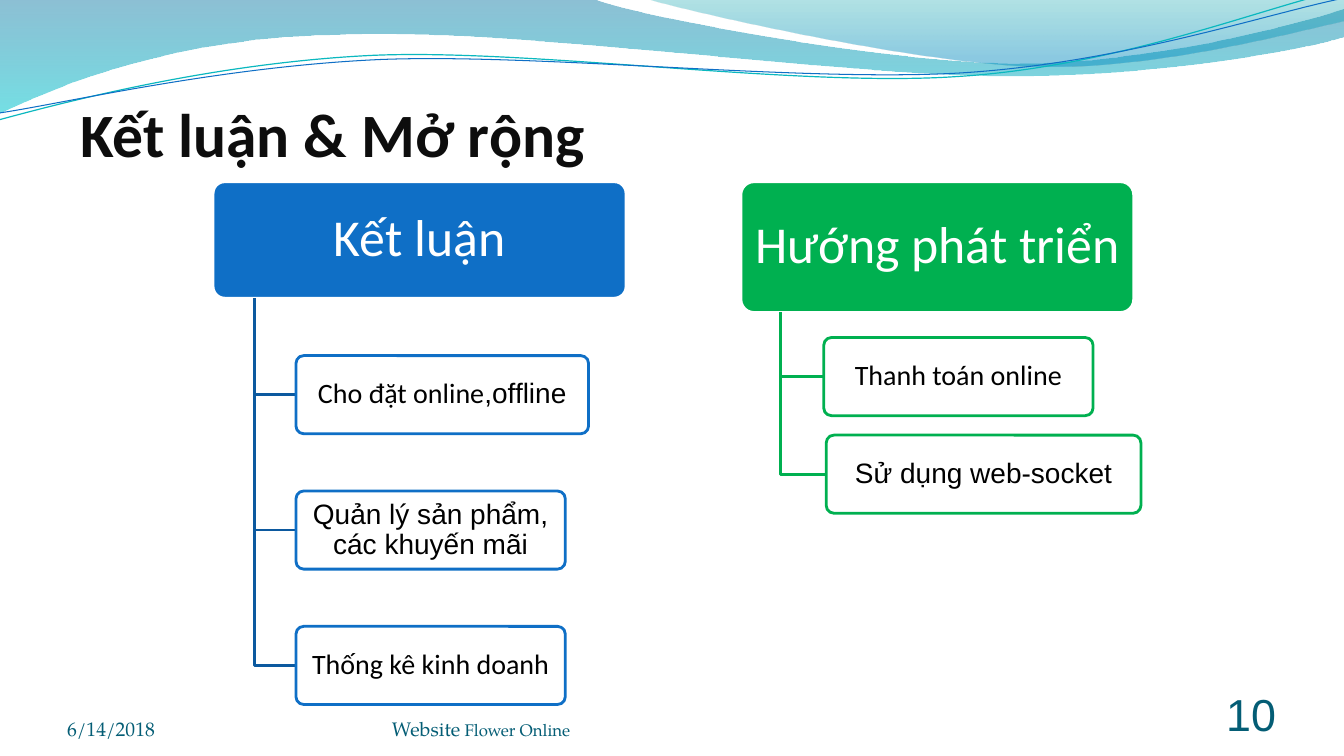
"""Build the conclusion and outlook slide with its two branching lists."""
from pptx import Presentation, util as u
from pptx.dml.color import RGBColor
from pptx.enum import shapes as kinds, text as t
from pptx.oxml.ns import qn
from lxml import etree

WHITE = RGBColor(0xFF, 0xFF, 0xFF)
BLACK = RGBColor(0, 0, 0)
INK = RGBColor(0x0D, 0x0D, 0x0D)
BLUE = RGBColor(0x0F, 0x6F, 0xC6)
NAVY = RGBColor(0x0C, 0x59, 0x9F)
GREEN = RGBColor(0x00, 0xB0, 0x50)
TEAL = RGBColor(0x04, 0x5D, 0x75)
AQUA = RGBColor(0x0A, 0xB8, 0xBF)
DEEP = RGBColor(0x00, 0x74, 0xA1)
CYAN = RGBColor(0x00, 0xC6, 0xCF)
SEA = RGBColor(0x00, 0xA1, 0xA9)
SKY = RGBColor(0x00, 0x8B, 0xBF)
SANS, BODY, SERIF = "Calibri", "Arial", "TeX Gyre Pagella"

deck = Presentation()
deck.slide_width, deck.slide_height = u.Pt(960), u.Pt(540)
slide = deck.slides.add_slide(deck.slide_layouts[5])
items = slide.shapes


def trace(start, parts, close=False, color=None, width=None):
    """Draw straight parts (x, y) and cubic parts (six numbers) as one outline."""
    dots = [(u.Pt(p[i]), u.Pt(p[i + 1])) for p in parts for i in range(0, len(p), 2)]
    pen = items.build_freeform(u.Pt(start[0]), u.Pt(start[1]))
    pen.add_line_segments(dots, close=close)
    shape = pen.convert_to_shape()
    shape.shadow.inherit = False
    steps = iter(list(shape._element.spPr.iter(qn("a:lnTo"))))
    for part in parts:
        step = next(steps)
        if len(part) == 6:
            curve = etree.Element(qn("a:cubicBezTo"))
            step.addprevious(curve)
            for old in (step, next(steps), next(steps)):
                curve.append(old[0])
                old.getparent().remove(old)
    if color is None:
        shape.line.fill.background()
    else:
        shape.fill.background()
        shape.line.color.rgb = color
        shape.line.width = u.Pt(width)
    return shape


def write(shape, parts, color, align, anchor, inset):
    """Fill a shape with runs given as (text, font, size)."""
    frame = shape.text_frame
    frame.word_wrap = True
    frame.auto_size = t.MSO_AUTO_SIZE.NONE
    frame.vertical_anchor = anchor
    frame.margin_left = frame.margin_right = u.Pt(inset)
    frame.margin_top = frame.margin_bottom = u.Pt(inset / 2)
    para = frame.paragraphs[0]
    para.alignment = align
    for words, face, size in parts:
        run = para.add_run()
        run.text = words
        run.font.name, run.font.size = face, u.Pt(size)
        run.font.color.rgb = color
    return para


waves = [
    ((0, 0), [(423, -1), (456, 12, 637, 45, 728, 45), (819, 45, 920, 19, 960, 6.5),
              (961, 26), (944, 32, 835, 55, 716, 54), (597, 54, 366, 20, 247, 24.5),
              (124, 26, 44, 60, -1, 81), (0, 0)],
     [(0, DEEP, 45), (1, CYAN, 55)]),
    ((460, -1), [(489, 8, 654, 45, 738, 47), (822, 50, 923, 23, 960, 15),
                 (960, 0), (460, -1)],
     [(0, SEA, 30), (0.8, SKY, 45)]),
]
for start, parts, stops in waves:
    wave = trace(start, parts, close=True)
    wave.fill.gradient()
    wave.fill.gradient_angle = 270
    for stop, (place, color, alpha) in zip(wave.fill.gradient_stops, stops):
        stop.position = place
        stop.color.rgb = color
    tints = wave._element.spPr.iter(qn("a:srgbClr"))
    for tint, (place, color, alpha) in zip(list(tints), stops):
        etree.SubElement(tint, qn("a:alpha")).set("val", str(alpha * 1000))

trace((-1, 85.7), [(46, 73, 152, 45, 266, 39.6), (379, 34.6, 569, 62.6, 684, 54.7),
                   (799, 47.5, 901, 5.8, 958, -7)], color=AQUA, width=0.85)
trace((0, 80.6), [(45, 74, 157, 47.5, 272, 42.5), (387, 38, 573, 59, 688, 52),
                  (803, 44.6, 904, 10, 960, -1.4)], color=BLUE, width=0.75)

title = items.title
title.left, title.top, title.width, title.height = map(u.Pt, (57.2, 31.5, 864, 90))
head = write(title, [("Kết luận & Mở rộng", SANS, 44)], INK,
             t.PP_ALIGN.LEFT, t.MSO_ANCHOR.BOTTOM, 0)
head.runs[0].font.bold = True

footers = [
    (48, 224, [("6/14/2018", SERIF, 14)], t.PP_ALIGN.LEFT),
    (280, 352, [("Website", SERIF, 14), (" Flower Online", SERIF, 12)], t.PP_ALIGN.LEFT),
    (832, 80, [("10", BODY, 32)], t.PP_ALIGN.RIGHT),
]
for left, width, parts, align in footers:
    note = items.add_textbox(u.Pt(left), u.Pt(500.4), u.Pt(width), u.Pt(28.8))
    write(note, parts, TEAL, align, t.MSO_ANCHOR.BOTTOM, 0)

TOP, TALL = 129.8, 55.8
branches = [
    ((152.2, 295, 83.2), "Kết luận", BLUE, NAVY, 182, [
        (211.4, 254, 209, [("Cho đặt online", SANS, 20), (",offline", BODY, 20)]),
        (211.4, 350.7, 192.4, [("Quản lý sản phẩm, các khuyến mãi", BODY, 20)]),
        (211.4, 447.4, 192.4, [("Thống kê kinh doanh", SANS, 20)])]),
    ((529.2, 280.6, 93.4), "Hướng phát triển", GREEN, GREEN, 557.3, [
        (588.4, 241.1, 192.4, [("Thanh toán online", SANS, 20)]),
        (590.2, 310.8, 224.8, [("Sử dụng web-socket", BODY, 20)])]),
]
for (left, width, height), name, color, tone, stem, leaves in branches:
    boxes = [(left, TOP, width, height, [(name, SANS, 37)], color, WHITE, WHITE, 3)]
    boxes += [(x, y, w, TALL, parts, WHITE, color, BLACK, 4.4) for x, y, w, parts in leaves]
    for x, y, w, h, parts, fill, edge, ink, inset in boxes:
        if fill == WHITE:
            mid = y + h / 2
            trace((stem, TOP + height), [(stem, mid), (x, mid)], color=tone, width=2)
        box = items.add_shape(kinds.MSO_SHAPE.ROUNDED_RECTANGLE,
                              u.Pt(x), u.Pt(y), u.Pt(w), u.Pt(h))
        box.adjustments[0] = 0.1
        box.shadow.inherit = False
        box.fill.solid()
        box.fill.fore_color.rgb = fill
        box.line.color.rgb = edge
        box.line.width = u.Pt(2)
        para = write(box, parts, ink, t.PP_ALIGN.CENTER, t.MSO_ANCHOR.MIDDLE, inset)
        para.line_spacing = 0.9

deck.save("out.pptx")
